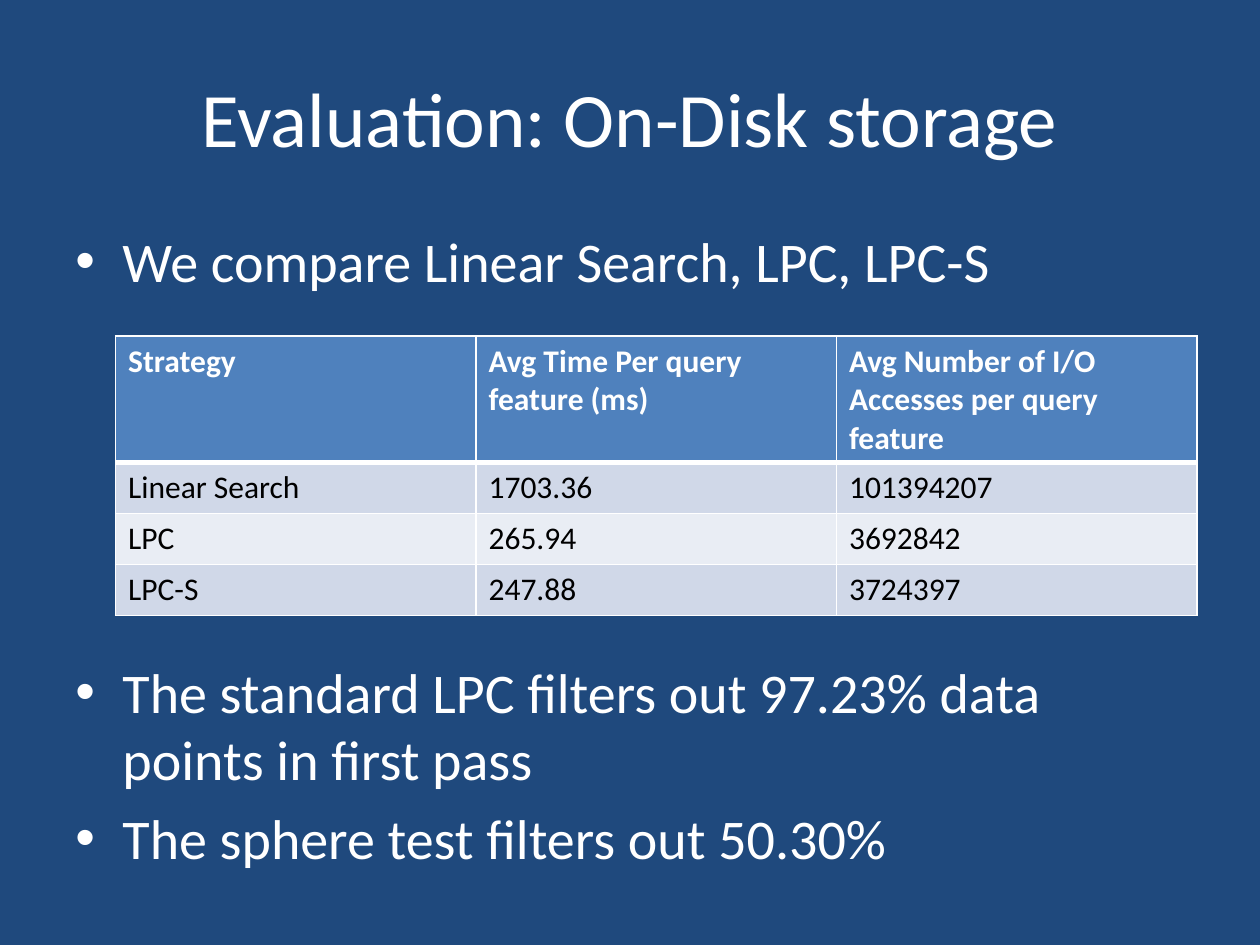
from lxml.etree import SubElement
from pptx import Presentation
from pptx.dml.color import RGBColor as RGB
from pptx.enum.text import MSO_ANCHOR as Anchor, PP_ALIGN as Align
from pptx.oxml.ns import qn
from pptx.util import Cm, Pt

COLORS = {
    "background": "1F497D",
    "light": "FFFFFF",
    "dark": "000000",
    "header": "4F81BD",
    "odd": "D0D8E8",
    "even": "E9EDF4",
}


class SlideBuilder:
    font = "Calibri"
    indent = Cm(0.95)

    def __init__(self, slide):
        self.s = slide
        fill = slide.background.fill
        fill.solid()
        fill.fore_color.rgb = RGB.from_string(COLORS["background"])

    def add_text(self, p, text, color="light", **formats):
        r = p.add_run()
        r.text = text
        for name, value in {"name": self.font, **formats}.items():
            setattr(r.font, name, value)
        r.font.color.rgb = RGB.from_string(COLORS[color])

    def text_box(self, box, anchor=Anchor.TOP):
        tf = self.s.shapes.add_textbox(*map(Cm, box)).text_frame
        tf.word_wrap = True
        tf.vertical_anchor = anchor
        return tf

    def title(self, box, text):
        p = self.text_box(box, Anchor.MIDDLE).paragraphs[0]
        p.alignment = Align.CENTER
        self.add_text(p, text, size=Pt(44))

    def bullets(self, box, lines):
        tf = self.text_box(box)
        for i, line in enumerate(lines):
            p = tf.add_paragraph() if i else tf.paragraphs[0]
            p.space_before = Pt(6.4)
            pPr = p._p.get_or_add_pPr()
            pPr.set("marL", str(self.indent))
            pPr.set("indent", str(-self.indent))
            SubElement(pPr, qn("a:buFont"), typeface="Arial")
            SubElement(pPr, qn("a:buChar"), char="•")
            self.add_text(p, line, size=Pt(32))

    def borders(self, cell, widths):
        tcPr = cell._tc.get_or_add_tcPr()
        for side, width in widths.items():
            ln = SubElement(tcPr, qn(f"a:ln{side}"), w=str(Pt(width)))
            fill = SubElement(ln, qn("a:solidFill"))
            SubElement(fill, qn("a:srgbClr"), val=COLORS["light"])

    def table(self, box, rows, heights):
        frame = self.s.shapes.add_table(len(rows), len(rows[0]), *map(Cm, box))
        table = frame.table
        for i, (row, height) in enumerate(zip(rows, heights)):
            table.rows[i].height = Cm(height)
            head = i == 0
            fill = "header" if head else ("even", "odd")[i % 2]
            # A thicker rule separates the header from the data
            widths = {"L": 1, "R": 1, "T": 3 if i == 1 else 1, "B": 3 if head else 1}
            for j, text in enumerate(row):
                cell = table.cell(i, j)
                self.borders(cell, widths)
                cell.fill.solid()
                cell.fill.fore_color.rgb = RGB.from_string(COLORS[fill])
                self.add_text(cell.text_frame.paragraphs[0], text,
                              "light" if head else "dark", size=Pt(18), bold=head)


def main():
    prs = Presentation()
    prs.slide_width, prs.slide_height = Cm(25.4), Cm(19.05)
    sb = SlideBuilder(prs.slides.add_slide(prs.slide_layouts[6]))

    # Title and introduction
    sb.title((1.27, 0.76, 22.86, 3.18), "Evaluation: On-Disk storage")
    sb.bullets((1.27, 4.45, 22.86, 1.9), ["We compare Linear Search, LPC, LPC-S"])

    # Results table
    sb.table((2.33, 6.77, 21.8, 5.64), [
        ("Strategy", "Avg Time Per query feature (ms)",
         "Avg Number of I/O Accesses per query feature"),
        ("Linear Search", "1703.36", "101394207"),
        ("LPC", "265.94", "3692842"),
        ("LPC-S", "247.88", "3724397"),
    ], [2.55] + [1.03] * 3)

    # Findings
    sb.bullets((1.27, 13.13, 22.86, 4.88), [
        "The standard LPC filters out 97.23% data points in first pass",
        "The sphere test filters out 50.30%",
    ])

    prs.save("out.pptx")


if __name__ == "__main__":
    main()
